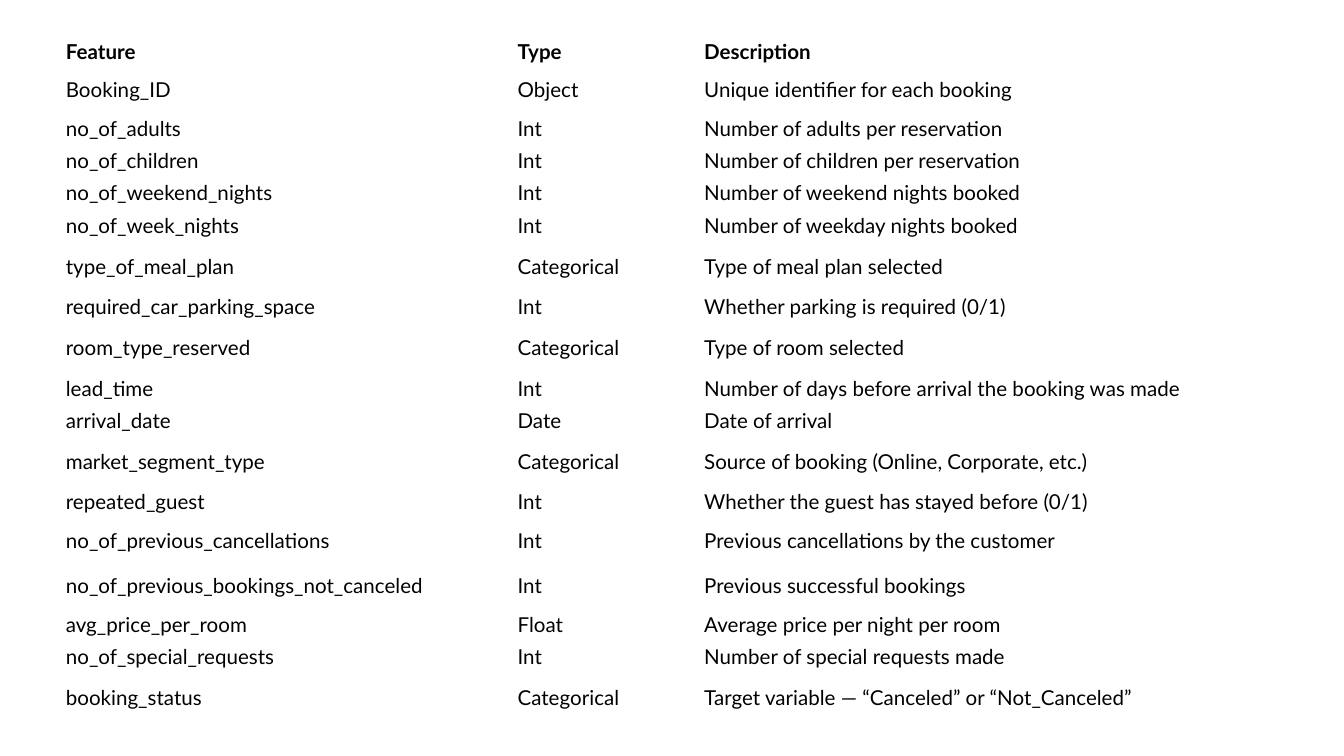
from typing import NamedTuple

import pptx
import pptx.dml.color
import pptx.enum.text
import pptx.slide
import pptx.table
import pptx.util

Pt = pptx.util.Pt

BLACK = pptx.dml.color.RGBColor(0x00, 0x00, 0x00)
FONT_NAME = "Lato"
FONT_SIZE = Pt(11)

TABLE_LEFT = Pt(31.7)
TABLE_TOP = Pt(18.8)
COLUMN_WIDTHS = (Pt(242), Pt(100), Pt(318.2))
SIDE_MARGIN = Pt(3.6)
EDGE_MARGIN = Pt(1.44)

SHORT = 17.4
MEDIUM = 23.8
RAISED = 24.6
TALL = 26.2


class FeatureRow(NamedTuple):
    feature: str
    type_name: str
    description: str
    height: float = SHORT


ROWS = (
    FeatureRow("Feature", "Type", "Description"),
    FeatureRow("Booking_ID", "Object", "Unique identifier for each booking", MEDIUM),
    FeatureRow("no_of_adults", "Int", "Number of adults per reservation"),
    FeatureRow("no_of_children", "Int", "Number of children per reservation"),
    FeatureRow("no_of_weekend_nights", "Int", "Number of weekend nights booked"),
    FeatureRow("no_of_week_nights", "Int", "Number of weekday nights booked"),
    FeatureRow("type_of_meal_plan", "Categorical", "Type of meal plan selected", TALL),
    FeatureRow("required_car_parking_space", "Int", "Whether parking is required (0/1)"),
    FeatureRow("room_type_reserved", "Categorical", "Type of room selected", TALL),
    FeatureRow("lead_time", "Int", "Number of days before arrival the booking was made"),
    FeatureRow("arrival_date", "Date", "Date of arrival"),
    FeatureRow("market_segment_type", "Categorical",
               "Source of booking (Online, Corporate, etc.)", TALL),
    FeatureRow("repeated_guest", "Int", "Whether the guest has stayed before (0/1)"),
    FeatureRow("no_of_previous_cancellations", "Int",
               "Previous cancellations by the customer", MEDIUM),
    FeatureRow("no_of_previous_bookings_not_canceled", "Int",
               "Previous successful bookings", RAISED),
    FeatureRow("avg_price_per_room", "Float", "Average price per night per room"),
    FeatureRow("no_of_special_requests", "Int", "Number of special requests made"),
    FeatureRow("booking_status", "Categorical",
               "Target variable — “Canceled” or “Not_Canceled”", TALL),
)


def fill_cell(cell: pptx.table._Cell, text: str, bold: bool) -> None:
    cell.fill.background()
    cell.vertical_anchor = pptx.enum.text.MSO_ANCHOR.MIDDLE
    cell.margin_left = cell.margin_right = SIDE_MARGIN
    cell.margin_top = cell.margin_bottom = EDGE_MARGIN
    cell.text_frame.text = text
    font = cell.text_frame.paragraphs[0].runs[0].font
    font.name = FONT_NAME
    font.size = FONT_SIZE
    font.bold = bold
    font.color.rgb = BLACK


def add_feature_table(page: pptx.slide.Slide) -> None:
    frame = page.shapes.add_table(
        len(ROWS), len(COLUMN_WIDTHS), TABLE_LEFT, TABLE_TOP,
        sum(COLUMN_WIDTHS), Pt(sum(row.height for row in ROWS)),
    )
    table = frame.table
    table.horz_banding = False
    for column, width in zip(table.columns, COLUMN_WIDTHS):
        column.width = width
    for index, (table_row, row) in enumerate(zip(table.rows, ROWS)):
        table_row.height = Pt(row.height)
        texts = (row.feature, row.type_name, row.description)
        for cell, text in zip(table_row.cells, texts):
            fill_cell(cell, text, bold=index == 0)


def main() -> None:
    deck = pptx.Presentation()
    deck.slide_width = Pt(720)
    deck.slide_height = Pt(405)
    blank_layout = deck.slide_layouts[6]
    page = deck.slides.add_slide(blank_layout)
    add_feature_table(page)
    deck.save("out.pptx")


if __name__ == "__main__":
    main()
